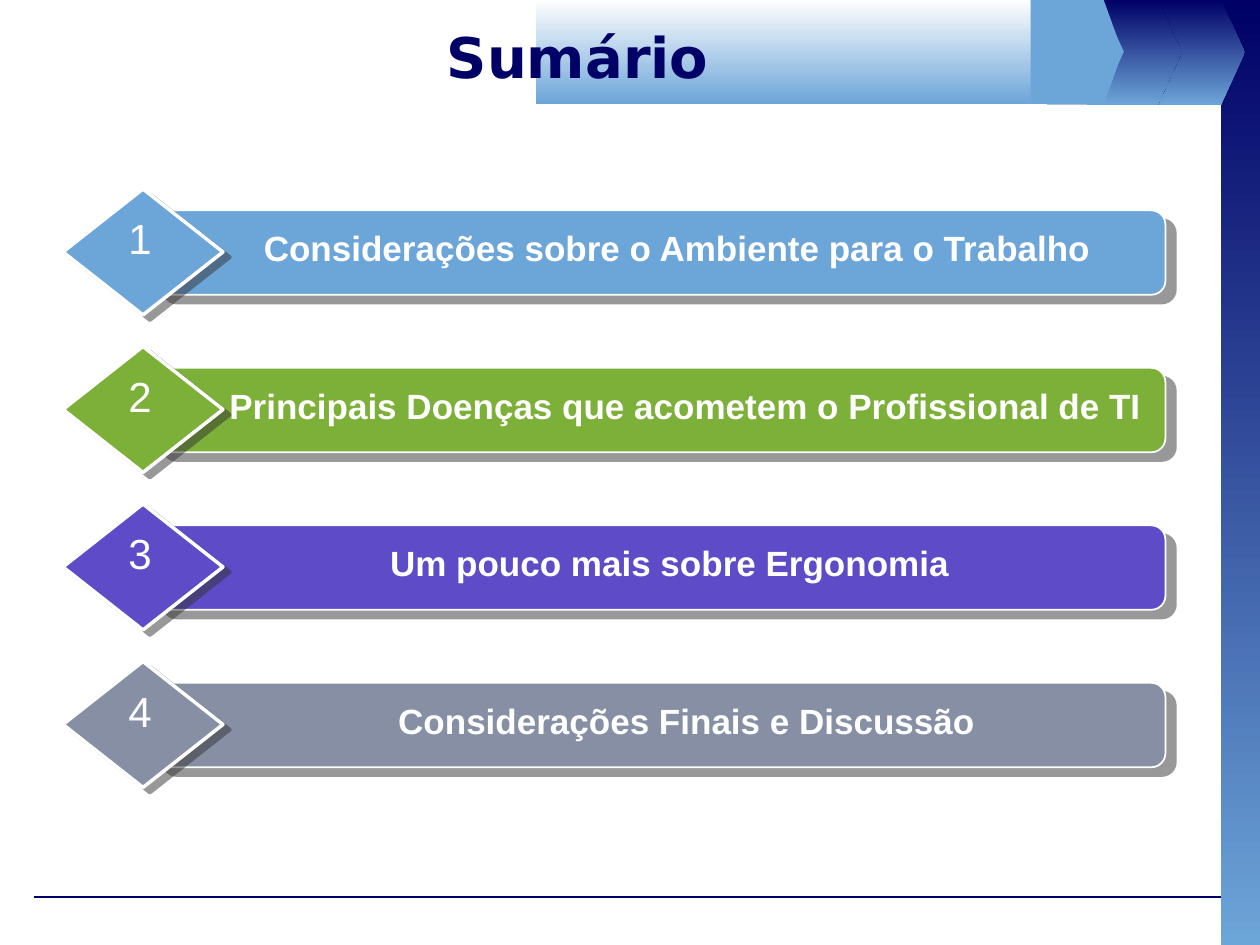
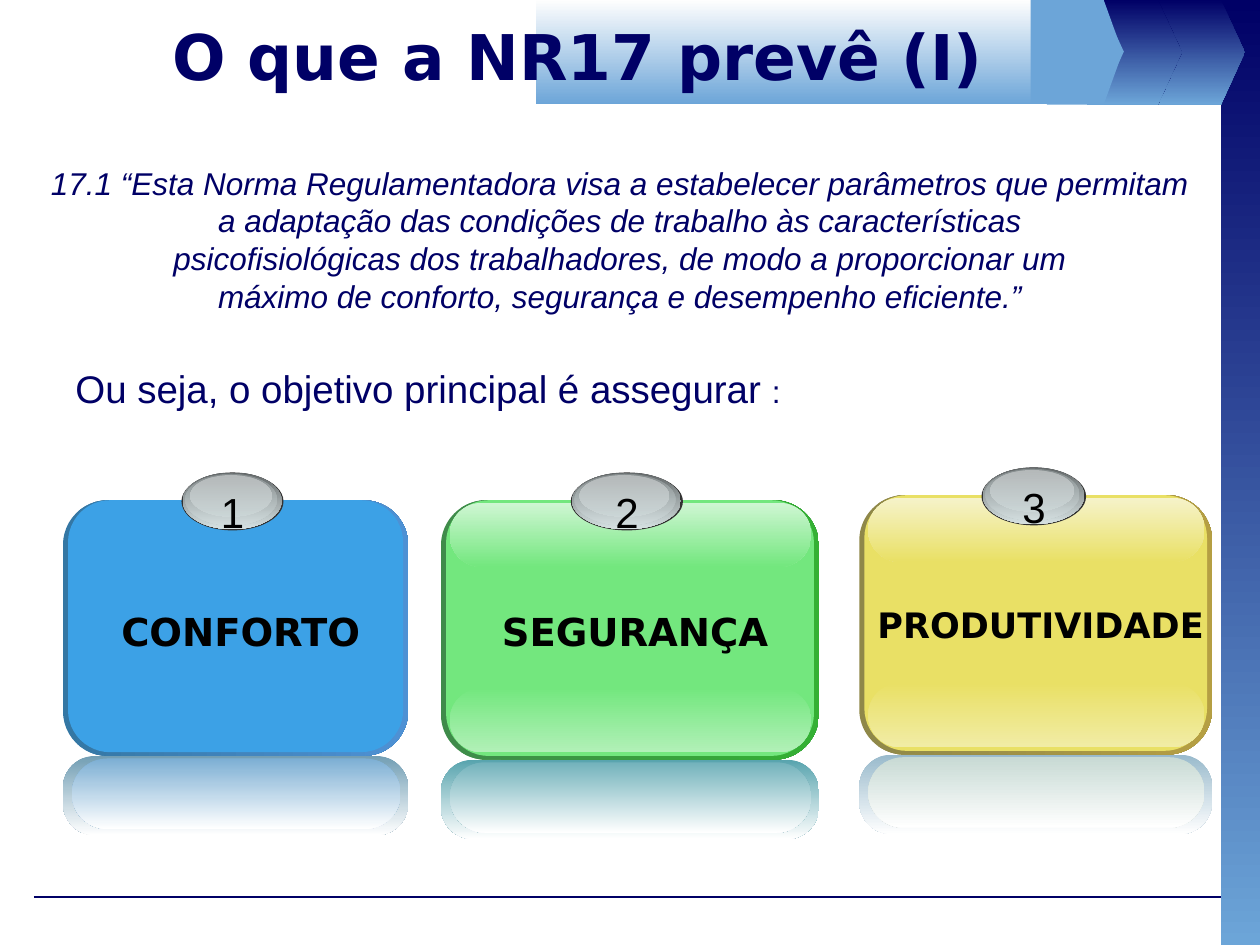
from lxml import etree
from pptx import Presentation
from pptx.dml.color import RGBColor
from pptx.enum.shapes import MSO_CONNECTOR, MSO_SHAPE
from pptx.enum.text import MSO_ANCHOR, PP_ALIGN
from pptx.oxml.ns import qn
from pptx.util import Inches, Pt

RECTANGLE, ROUNDED = MSO_SHAPE.RECTANGLE, MSO_SHAPE.ROUNDED_RECTANGLE
DIAMOND, OVAL = MSO_SHAPE.DIAMOND, MSO_SHAPE.OVAL
STRAIGHT = MSO_CONNECTOR.STRAIGHT
TOP, MIDDLE = MSO_ANCHOR.TOP, MSO_ANCHOR.MIDDLE
LEFT, CENTER = PP_ALIGN.LEFT, PP_ALIGN.CENTER

BODY_FONT, TITLE_FONT = "Arial", "DejaVu Sans"
NAVY = RGBColor(0x00, 0x00, 0x66)
SKY = RGBColor(0x6C, 0xA5, 0xD8)
WHITE = RGBColor(0xFF, 0xFF, 0xFF)
NEAR_WHITE = RGBColor(0xFE, 0xFE, 0xFE)
BLACK = RGBColor(0x00, 0x00, 0x00)
CHARCOAL = RGBColor(0x33, 0x33, 0x33)
STEEL = RGBColor(0x62, 0x67, 0x68)
SILVER = RGBColor(0xA8, 0xB1, 0xB2)
PEARL = RGBColor(0xD6, 0xE1, 0xE2)
GREEN = RGBColor(0x7D, 0xB0, 0x38)
VIOLET = RGBColor(0x5D, 0x4B, 0xC7)
SLATE = RGBColor(0x87, 0x8F, 0xA5)
BLUE_CARD = RGBColor(0x3C, 0xA1, 0xE6)
GREEN_CARD = RGBColor(0x73, 0xE7, 0x7E)
YELLOW_CARD = RGBColor(0xE9, 0xE0, 0x65)

# Content: topic text, colour, text left, text width
TOPICS = [
    ("Considerações sobre o Ambiente para o Trabalho", SKY, 1.5, 7.75),
    ("Principais Doenças que acometem o Profissional de TI", GREEN, 1.63, 7.62),
    ("Um pouco mais sobre Ergonomia", VIOLET, 1.63, 7.37),
    ("Considerações Finais e Discussão", SLATE, 2.15, 6.6),
]
QUOTE = [
    "17.1 “Esta Norma Regulamentadora visa a estabelecer parâmetros que permitam",
    "a adaptação das condições de trabalho às características",
    "psicofisiológicas dos trabalhadores, de modo a proporcionar um",
    "máximo de conforto, segurança e desempenho eficiente.”",
]
GOALS = [
    dict(label="CONFORTO", size=22, card=(0.5, 3.97, 2.74, 2.03), gem=(1.44, 0.81),
         face=BLUE_CARD, rim=(RGBColor(0x34, 0x77, 0xA4), RGBColor(0x4E, 0x91, 0xD4)),
         gloss=None,
         mirror=(RGBColor(0x72, 0x9E, 0xB4), RGBColor(0x7D, 0xAF, 0xD4))),
    dict(label="SEGURANÇA", size=22, card=(3.5, 3.97, 3, 2.06), gem=(4.53, 0.89),
         face=GREEN_CARD, rim=(RGBColor(0x3F, 0x8B, 0x4A), RGBColor(0x34, 0xB0, 0x34)),
         gloss=(RGBColor(0xCF, 0xF6, 0xD3), RGBColor(0xB1, 0xF0, 0xB7)),
         mirror=(RGBColor(0x58, 0xA4, 0xAE), RGBColor(0x72, 0xB2, 0xBB))),
    dict(label="PRODUTIVIDADE", size=20, card=(6.82, 3.93, 2.8, 2.06), gem=(7.79, 0.83),
         face=YELLOW_CARD, rim=(RGBColor(0x8F, 0x88, 0x49), RGBColor(0xB5, 0x9F, 0x43)),
         gloss=(RGBColor(0xF6, 0xF3, 0xCA), RGBColor(0xF1, 0xEC, 0xA5)),
         mirror=(RGBColor(0x99, 0xBA, 0xCC), RGBColor(0xC8, 0xDA, 0xD4))),
]
# Header arrows: left, shoulder, tip, height, fill
ARROWS_BEHIND = [
    (9.13, 9.69, 9.88, 0.83, (NAVY, SKY)),
    (8.63, 9.19, 9.38, 0.83, (NAVY, SKY)),
    (8.31, 8.76, 8.91, 0.83, SKY),
]
ARROW_FRONT = (8.18, 8.73, 8.92, 0.82, SKY)
# Gem layers: offset x, offset y, width factor, height, fill, opacity
GEM_LAYERS = [
    (0, 0, 1, 0.46, CHARCOAL, 100),
    (0.01, 0, 0.97, 0.45, (STEEL, PEARL), 100),
    (0.03, 0.01, 0.9, 0.41, (SILVER, PEARL), 48),
    (0.07, 0.02, 0.8, 0.33, (NEAR_WHITE, PEARL), 38),
]


# Drawing helpers
def paint(shape, fill, angle=270, opacity=100):
    """Fill with one colour, or with a pair as a gradient (270 runs downwards)."""
    shape.shadow.inherit = False
    shape.line.fill.background()
    if isinstance(fill, RGBColor):
        shape.fill.solid()
        shape.fill.fore_color.rgb = fill
        return
    shape.fill.gradient()
    shape.fill.gradient_angle = angle
    for stop, color in zip(shape.fill.gradient_stops, fill):
        stop.color.rgb = color
    if opacity < 100:
        for color in shape.fill._xPr.iter(qn("a:srgbClr")):
            etree.SubElement(color, qn("a:alpha"), val=str(opacity * 1000))


def add_part(page, kind, left, top, width, height, fill, corner=None, angle=270, opacity=100):
    shape = page.shapes.add_shape(
        kind, Inches(left), Inches(top), Inches(width), Inches(height))
    if corner is not None:
        shape.adjustments[0] = corner
    paint(shape, fill, angle, opacity)
    return shape


def add_outline_and_shadow(shape, line_width, distance, direction):
    shape.line.color.rgb = WHITE
    shape.line.width = Pt(line_width)
    effects = shape._element.spPr.find(qn("a:effectLst"))
    shadow = etree.SubElement(
        effects, qn("a:outerShdw"), dist=str(Pt(distance)),
        dir=str(direction * 60000), algn="ctr", rotWithShape="0")
    color = etree.SubElement(shadow, qn("a:srgbClr"), val=str(CHARCOAL))
    etree.SubElement(color, qn("a:alpha"), val="50000")


def add_text(page, left, top, width, height, lines, size, color, font=BODY_FONT,
             bold=False, italic=False, align=CENTER, anchor=TOP, wrap=False):
    box = page.shapes.add_textbox(Inches(left), Inches(top), Inches(width), Inches(height))
    frame = box.text_frame
    frame.word_wrap = wrap
    frame.vertical_anchor = anchor
    frame.text = "\n".join(lines)
    for para in frame.paragraphs:
        para.alignment = align
        para.font.name, para.font.size = font, Pt(size)
        para.font.bold, para.font.italic = bold, italic
        para.font.color.rgb = color
    return frame


def add_arrow(page, left, shoulder, tip, height, fill):
    builder = page.shapes.build_freeform(Inches(left), Inches(height))
    builder.add_line_segments([
        (Inches(x), Inches(y)) for x, y in
        [(shoulder, height), (tip, height / 2), (shoulder, 0), (left, 0)]])
    paint(builder.convert_to_shape(), fill)


# Frame shared by both slides
def add_page(deck, title, size, top, height):
    page = deck.slides.add_slide(deck.slide_layouts[6])
    rule = page.shapes.add_connector(
        STRAIGHT, Inches(0.27), Inches(7.12), Inches(9.69), Inches(7.12))
    rule.line.color.rgb = NAVY
    rule.line.width = Pt(0.75)
    etree.SubElement(rule._element.spPr, qn("a:effectLst"))
    add_part(page, RECTANGLE, 9.69, 0, 0.31, 7.5, (NAVY, SKY))
    for arrow in ARROWS_BEHIND:
        add_arrow(page, *arrow)
    add_part(page, RECTANGLE, 4.25, 0, 4.18, 0.83, (NEAR_WHITE, SKY))
    add_arrow(page, *ARROW_FRONT)
    add_text(page, 0.5, top, 8.17, height, [title], size, NAVY, TITLE_FONT,
             bold=True, anchor=MIDDLE, wrap=True)
    return page


def add_topic(page, index, text, color, text_left, text_width):
    top = 1.5 + 1.25 * index
    bar = add_part(page, ROUNDED, 1.21, top + 0.17, 8.04, 0.67, color, corner=0.167)
    add_outline_and_shadow(bar, 1, 7.8, 40)
    diamond = add_part(page, DIAMOND, 0.5, top, 1.27, 1, color)
    add_outline_and_shadow(diamond, 2, 5, 37)
    add_text(page, text_left, top + 0.25, text_width, 0.44, [text], 20, WHITE,
             bold=True, wrap=True)
    add_text(page, 0.92, top + 0.14, 0.38, 0.5, [str(index + 1)], 24, WHITE)


def add_goal(page, number, label, size, card, gem, face, rim, gloss, mirror):
    left, top, width, height = card
    inner_left, inner_width = left + 0.07, width - 0.13
    bottom = top + height

    # Card with its rim and glossy ends
    add_part(page, ROUNDED, left, top, width, height, rim, corner=0.175, angle=0)
    add_part(page, ROUNDED, left + 0.04, top, width - 0.08, height - 0.03, face, corner=0.167)
    if gloss:
        for offset, fill in [(1.49, (face, gloss[1])), (0.02, (gloss[0], face))]:
            add_part(page, ROUNDED, inner_left, top + offset, inner_width, 0.51, fill, corner=0.5)

    # Reflection below the card
    add_part(page, ROUNDED, left, bottom, width, 0.63, (mirror[0], WHITE), corner=0.404)
    add_part(page, ROUNDED, inner_left, bottom + 0.02, inner_width, 0.56,
             (mirror[1], WHITE), corner=0.5)

    # Numbered gem and label
    gem_left, gem_width = gem
    for dx, dy, factor, layer_height, fill, opacity in GEM_LAYERS:
        add_part(page, OVAL, gem_left + dx, top - 0.22 + dy, gem_width * factor,
                 layer_height, fill, opacity=opacity)
    add_text(page, gem_left + gem_width / 2 - 0.19, top - 0.16, 0.38, 0.5,
             [str(number)], 24, BLACK)
    add_text(page, left + 0.04, top + 0.81, width, 0.46, [label], size, BLACK,
             TITLE_FONT, bold=True)


def main():
    deck = Presentation()
    deck.slide_width, deck.slide_height = Inches(10), Inches(7.5)

    # Slide 1: summary
    page = add_page(deck, "Sumário", 32, 0.09, 0.71)
    for index, topic in enumerate(TOPICS):
        add_topic(page, index, *topic)

    # Slide 2: what the standard sets out
    page = add_page(deck, "O que a NR17 prevê (I)", 36, 0.05, 0.78)
    for number, goal in enumerate(GOALS, start=1):
        add_goal(page, number, **goal)
    add_text(page, 0.27, 1.25, 9.3, 1.3, QUOTE, 18, NAVY, italic=True)
    frame = add_text(page, 0.5, 2.85, 5.88, 0.47,
                     ["Ou seja, o objetivo principal é assegurar "], 22, NAVY, align=LEFT)
    colon = frame.paragraphs[0].add_run()
    colon.text = ":"
    colon.font.size = Pt(18)

    deck.save("out.pptx")


if __name__ == "__main__":
    main()
